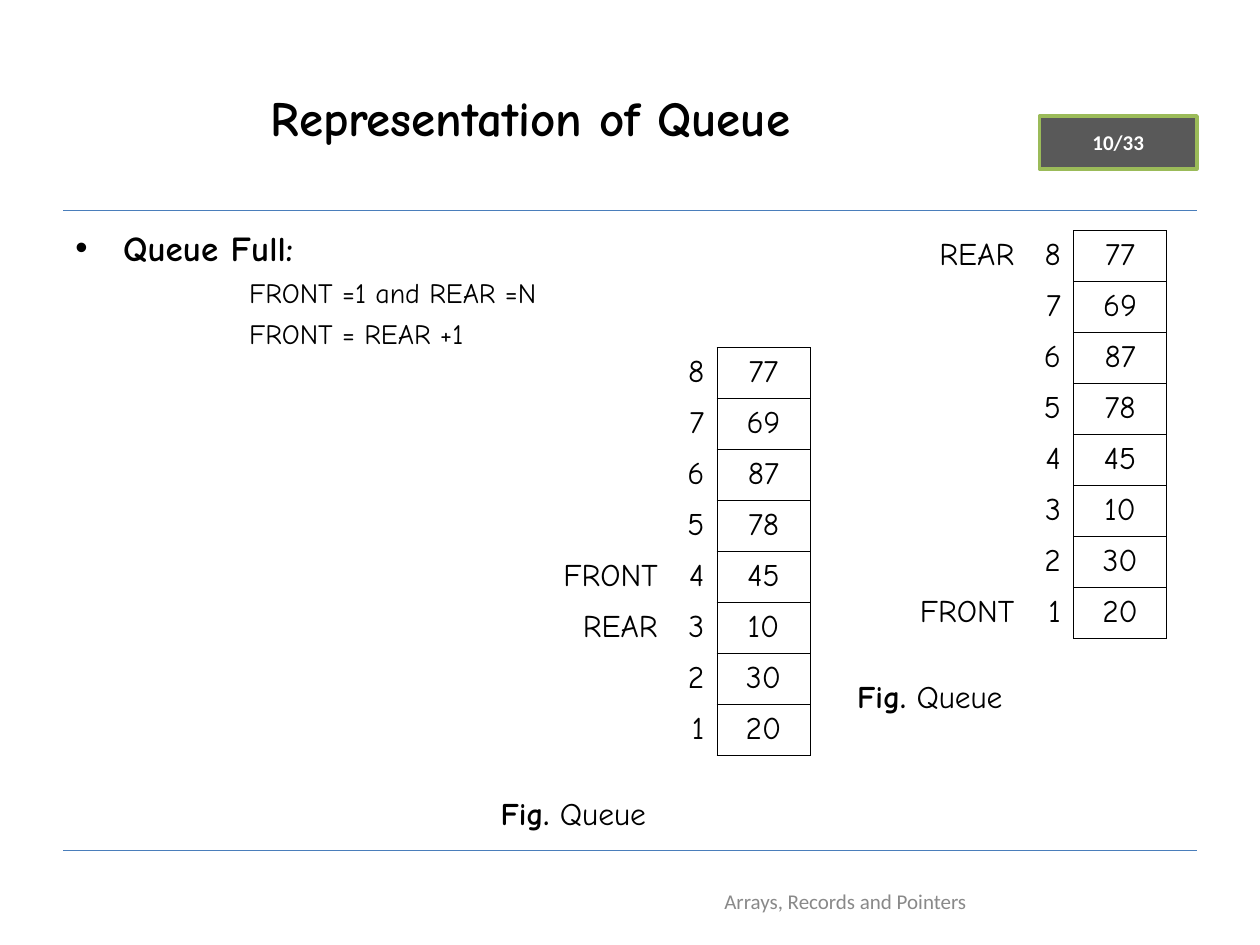
"""Build the slide on how a full queue is represented."""
from dataclasses import dataclass

from lxml import etree
from pptx import Presentation
from pptx.dml.color import RGBColor
from pptx.enum import shapes, text
from pptx.oxml import ns
from pptx.util import Inches, Pt

HAND, SANS = "Comic Neue", "Calibri"
BLACK = "000000"
ALIGN = text.PP_ALIGN
NO_STYLE = "{2D5ABB26-0587-4C30-8999-92F81FD0307C}"
QUEUE = (20, 30, 10, 45, 78, 87, 69, 77)


@dataclass
class QueueFigure:
    left: float
    top: float
    front: int
    rear: int


FIGURES = (QueueFigure(2.67, 2.76, 4, 3), QueueFigure(5.5, 1.83, 1, 8))


def color(value: str) -> RGBColor:
    return RGBColor.from_string(value)


def child(parent, tag: str, **attributes):
    return etree.SubElement(parent, ns.qn(tag), **attributes)


def add_run(paragraph, words: str, size: float, font: str = HAND,
            ink: str = BLACK, bold: bool = False) -> None:
    run = paragraph.add_run()
    run.text = words
    run.font.name, run.font.size, run.font.bold = font, Pt(size), bold
    run.font.color.rgb = color(ink)


def add_box(slide, left: float, top: float, width: float, height: float):
    frame = slide.shapes.add_textbox(
        Inches(left), Inches(top), Inches(width), Inches(height)).text_frame
    frame.word_wrap = True
    return frame


def add_rule(slide, y: float) -> None:
    rule = slide.shapes.add_connector(
        shapes.MSO_CONNECTOR.STRAIGHT, Inches(0.5), Inches(y), Inches(9.5), Inches(y))
    rule.line.color.rgb = color("4A7EBB")
    rule.line.width = Pt(0.75)
    child(rule._element.spPr, "a:effectLst")


def add_page_badge(slide) -> None:
    badge = slide.shapes.add_shape(
        shapes.MSO_SHAPE.RECTANGLE, Inches(8.25), Inches(0.92), Inches(1.25), Inches(0.42))
    badge.shadow.inherit = False
    badge.fill.solid()
    badge.fill.fore_color.rgb = color("595959")
    badge.line.color.rgb = color("9BBB59")
    badge.line.width = Pt(2)
    badge.text_frame.vertical_anchor = text.MSO_ANCHOR.MIDDLE
    page = badge.text_frame.paragraphs[0]
    page.alignment = ALIGN.CENTER
    add_run(page, "10/33", 12, SANS, "FFFFFF", True)


def add_title(slide) -> None:
    title = slide.shapes.title
    title.left, title.top = Inches(0.5), Inches(0.3)
    title.width, title.height = Inches(7.42), Inches(1.25)
    title.text_frame.vertical_anchor = text.MSO_ANCHOR.MIDDLE
    heading = title.text_frame.paragraphs[0]
    heading.alignment = ALIGN.CENTER
    add_run(heading, "Representation of Queue", 28, bold=True)


def indent(paragraph, left: float, first: float) -> None:
    properties = paragraph._p.get_or_add_pPr()
    properties.set("marL", str(Inches(left)))
    properties.set("indent", str(Inches(first)))


def add_conditions(slide) -> None:
    frame = add_box(slide, 0.5, 1.75, 9, 4.95)
    heading = frame.paragraphs[0]
    heading.alignment = ALIGN.JUSTIFY
    indent(heading, 0.38, -0.38)
    properties = heading._p.get_or_add_pPr()
    child(child(properties, "a:buClr"), "a:srgbClr", val=BLACK)
    child(properties, "a:buFont", typeface="Arial")
    child(properties, "a:buChar", char="•")
    add_run(heading, "Queue Full: ", 20, bold=True)
    for words in ("FRONT =1 and REAR =N", "FRONT = REAR +1"):
        condition = frame.add_paragraph()
        condition.alignment, condition.level = ALIGN.JUSTIFY, 3
        condition.space_before = Pt(4)
        indent(condition, 1.88, -0.5)
        child(condition._p.get_or_add_pPr(), "a:buNone")
        add_run(condition, words, 16)


def format_cell(cell, words: str, alignment, edges: str = "") -> None:
    cell.margin_bottom = Inches(0.02)
    for edge in edges:
        border = child(cell._tc.get_or_add_tcPr(), f"a:ln{edge}", w=str(Pt(0.45)))
        child(child(border, "a:solidFill"), "a:srgbClr", val=BLACK)
    cell.fill.background()
    paragraph = cell.text_frame.paragraphs[0]
    paragraph.alignment = alignment
    if words:
        add_run(paragraph, words, 18)


def add_queue(slide, figure: QueueFigure) -> None:
    count = len(QUEUE)
    frame = slide.shapes.add_table(
        count + 1, 3, Inches(figure.left), Inches(figure.top), Inches(3.76), Inches(3.94))
    table = frame.table
    table.first_row = table.horz_banding = False
    table._tbl.tblPr.find(ns.qn("a:tableStyleId")).text = NO_STYLE
    for column, width in zip(table.columns, (2.65, 0.37, 0.74)):
        column.width = Inches(width)
    for row, value in enumerate(reversed(QUEUE)):
        position = count - row
        pointer = {figure.front: "FRONT", figure.rear: "REAR"}.get(position, "")
        table.rows[row].height = Inches(3.24 / count)
        format_cell(table.cell(row, 0), pointer, ALIGN.RIGHT)
        format_cell(table.cell(row, 1), str(position), ALIGN.RIGHT, "R")
        format_cell(table.cell(row, 2), str(value), ALIGN.CENTER, "LRT")

    table.rows[count].height = Inches(0.7)
    caption = table.cell(count, 0)
    caption.merge(table.cell(count, 2))
    caption.fill.background()
    caption.vertical_anchor = text.MSO_ANCHOR.BOTTOM
    caption.margin_bottom = Inches(0.08)
    label = caption.text_frame.paragraphs[0]
    label.alignment = ALIGN.CENTER
    add_run(label, "Fig.", 18, bold=True)
    add_run(label, " Queue", 18)


def add_footer(slide) -> None:
    frame = add_box(slide, 5.25, 6.95, 2.92, 0.4)
    frame.vertical_anchor = text.MSO_ANCHOR.MIDDLE
    topic = frame.paragraphs[0]
    topic.alignment = ALIGN.CENTER
    add_run(topic, "Arrays, Records and Pointers", 12, SANS, "898989")


def main() -> None:
    deck = Presentation()
    deck.slide_width, deck.slide_height = Inches(10), Inches(7.5)
    slide = deck.slides.add_slide(deck.slide_layouts[5])
    for y in (1.67, 6.75):
        add_rule(slide, y)
    add_page_badge(slide)
    add_conditions(slide)
    add_title(slide)
    add_footer(slide)
    for figure in FIGURES:
        add_queue(slide, figure)
    deck.save("out.pptx")


if __name__ == "__main__":
    main()
